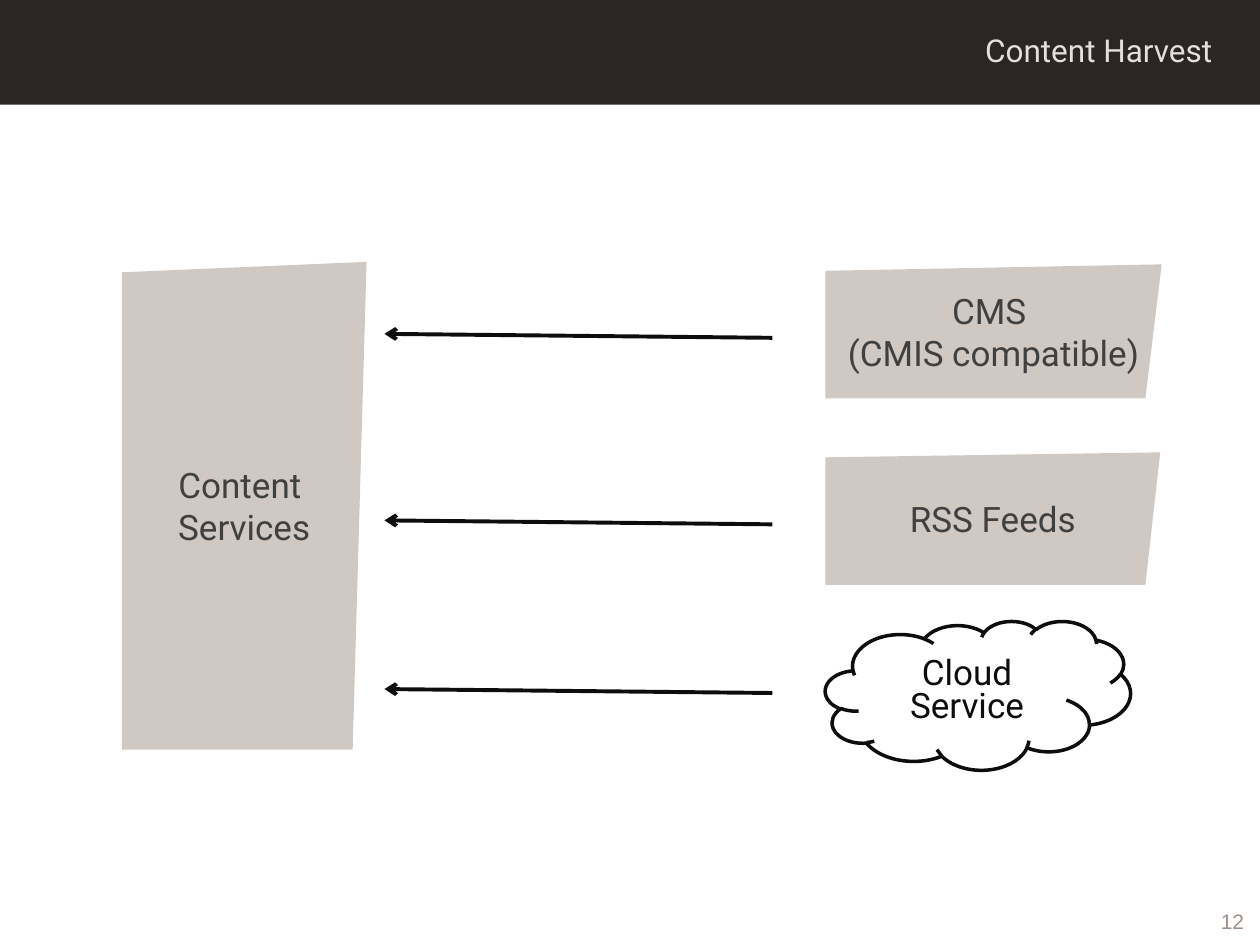
from lxml.etree import SubElement
from pptx import Presentation
from pptx.dml.color import RGBColor
from pptx.enum.shapes import MSO_CONNECTOR, MSO_SHAPE
from pptx.enum.text import MSO_ANCHOR, PP_ALIGN
from pptx.oxml.ns import qn
from pptx.util import Cm, Pt

COLORS = {
    "band": "2B2623",
    "title": "E5DEDC",
    "number": "9E9088",
    "panel": "CFC8C3",
    "label": "404040",
    "ink": "0D0D0D",
    "white": "FFFFFF",
}


def color(name):
    return RGBColor.from_string(COLORS[name])


def write_text(shape, lines, size, color_name, align=PP_ALIGN.CENTER,
               anchor=MSO_ANCHOR.MIDDLE, font="Roboto", wrap=True, spacing=None):
    frame = shape.text_frame
    frame.word_wrap = wrap
    frame.vertical_anchor = anchor
    frame.text = "\n".join(lines)
    for paragraph in frame.paragraphs:
        paragraph.alignment = align
        paragraph.line_spacing = spacing
        paragraph.font.name = font
        paragraph.font.size = Pt(size)
        paragraph.font.color.rgb = color(color_name)


def add_text_box(page, left, top, width, height, line, size, color_name, **style):
    box = page.shapes.add_textbox(Cm(left), Cm(top), Cm(width), Cm(height))
    write_text(box, [line], size, color_name, align=PP_ALIGN.RIGHT, **style)


def add_preset(page, kind, left, top, width, height, fill):
    shape = page.shapes.add_shape(kind, Cm(left), Cm(top), Cm(width), Cm(height))
    shape.shadow.inherit = False
    shape.fill.solid()
    shape.fill.fore_color.rgb = color(fill)
    shape.line.fill.background()
    return shape


def add_panel(page, points, lines):
    """Draw a slanted panel through the corner points, with a centred label."""
    start, *others = [(Cm(x), Cm(y)) for x, y in points]
    builder = page.shapes.build_freeform(*start)
    builder.add_line_segments(others, close=True)
    panel = builder.convert_to_shape()
    panel.shadow.inherit = False
    panel.fill.solid()
    panel.fill.fore_color.rgb = color("panel")
    panel.line.fill.background()
    write_text(panel, lines, 20, "label", wrap=False)


def add_arrow(page, top):
    """Draw an arrow that points left at the content services."""
    arrow = page.shapes.add_connector(
        MSO_CONNECTOR.STRAIGHT, Cm(7.75), Cm(top), Cm(15.57), Cm(top + 0.08))
    arrow.line.color.rgb = color("ink")
    arrow.line.width = Pt(2.25)
    properties = arrow.element.spPr
    SubElement(properties.find(qn("a:ln")), qn("a:headEnd"), type="arrow")
    SubElement(properties, qn("a:effectLst"))


def main():
    deck = Presentation()
    deck.slide_width, deck.slide_height = Cm(25.4), Cm(19.05)
    page = deck.slides.add_slide(deck.slide_layouts[6])

    # Title band and page number
    add_preset(page, MSO_SHAPE.RECTANGLE, 0, 0, 25.4, 2.11, "band")
    add_text_box(page, 7.29, 0.51, 17.4, 1.02, "Content Harvest", 18, "title",
                 anchor=MSO_ANCHOR.TOP)
    add_text_box(page, 20.68, 18.21, 4.65, 0.71, "12", 12, "number", font="Arial")

    # Content services and the sources they harvest
    add_panel(page, [(2.46, 5.49), (7.39, 5.28), (7.11, 15.11), (2.46, 15.11)],
              ["Content ", "Services"])
    add_panel(page, [(16.64, 5.46), (23.42, 5.33), (23.09, 8.03), (16.64, 8.03)],
              ["CMS ", "(CMIS compatible)"])
    add_panel(page, [(16.64, 9.22), (23.39, 9.12), (23.09, 11.79), (16.64, 11.79)],
              ["RSS Feeds"])
    cloud = add_preset(page, MSO_SHAPE.CLOUD, 16.64, 12.52, 6.15, 3, "white")
    cloud.line.color.rgb = color("ink")
    cloud.line.width = Pt(2)
    write_text(cloud, ["Cloud Service"], 20, "ink", spacing=0.8)

    # One arrow per source
    for top in (6.73, 10.49, 13.89):
        add_arrow(page, top)

    deck.save("out.pptx")


if __name__ == "__main__":
    main()
